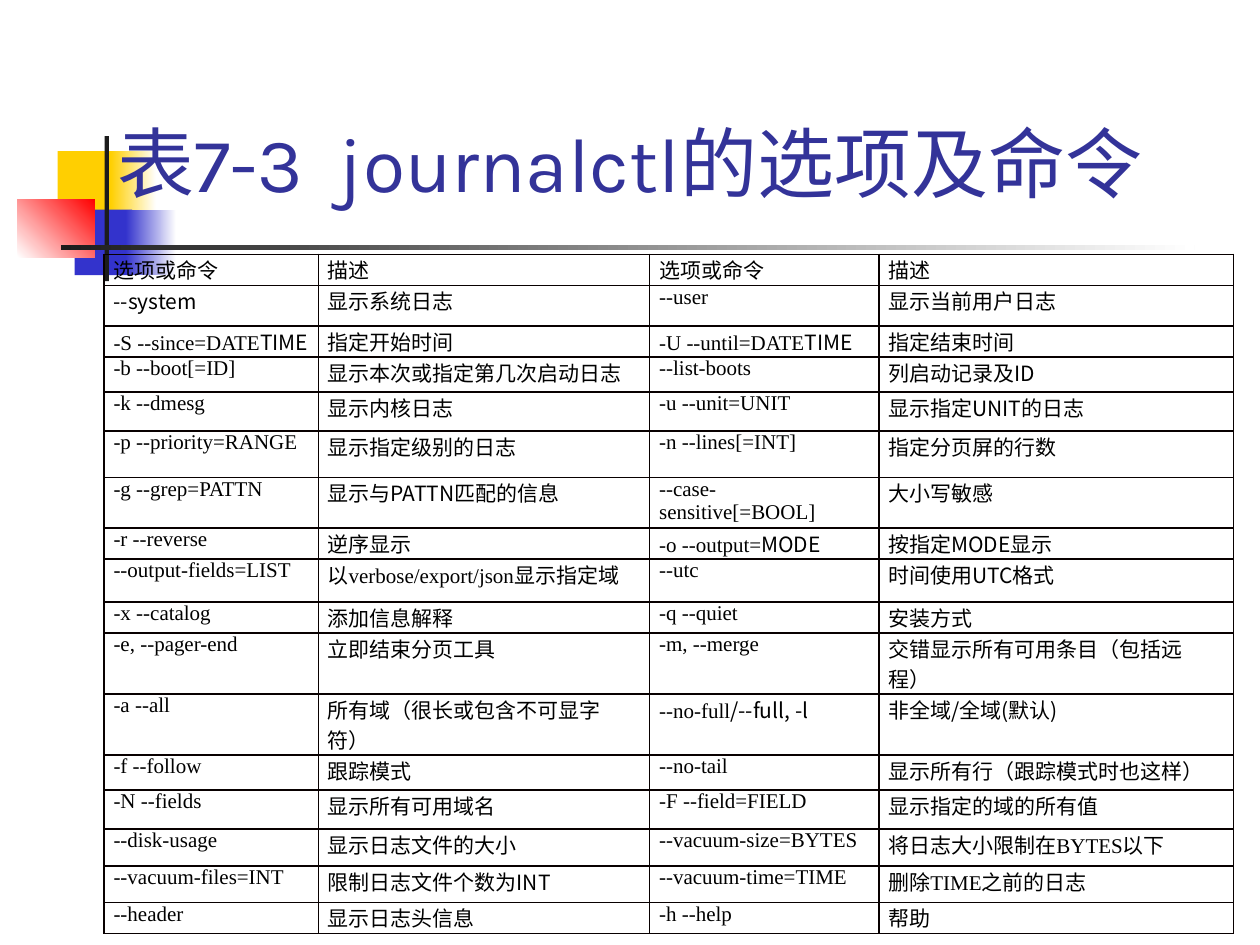
from dataclasses import dataclass

from lxml import etree
from pptx import Presentation
from pptx.dml.color import RGBColor
from pptx.enum.shapes import MSO_SHAPE
from pptx.enum.text import MSO_ANCHOR
from pptx.oxml.ns import qn
from pptx.util import Pt

RECTANGLE = MSO_SHAPE.RECTANGLE
ANCHOR_BOTTOM = MSO_ANCHOR.BOTTOM


@dataclass(frozen=True)
class Theme:
    yellow: str = "FFCF01"
    blue: str = "3333CC"
    red: str = "FF0000"
    dark: str = "1C1C1C"
    white: str = "FFFFFF"
    title: str = "333399"
    text: str = "000000"
    border: str = "080000"
    title_font: str = "Karla"
    chinese_font: str = "Noto Sans CJK SC"
    command_font: str = "Times New Roman"
    title_size: int = 44
    table_size: int = 12
    border_width: int = 1


THEME = Theme()

TITLE = "表7-3  journalctl的选项及命令"

FONT_SWITCH = "|"
COLUMN_WIDTHS = (122.4, 189.4, 131, 202.7)
ONE_LINE = 17.8
TWO_LINES = 34.9

TABLE_ROWS = (
    (ONE_LINE, "|选项或命令", "描述", "|选项或命令", "描述"),
    (23, "|--system", "显示系统日志", "--user", "显示当前用户日志"),
    (ONE_LINE, "-S --since=DATE|TIME", "指定开始时间", "-U --until=DATE|TIME", "指定结束时间"),
    (20, "-b --boot[=ID]", "显示本次或指定第几次启动日志", "--list-boots", "列启动记录及ID"),
    (22.3, "-k --dmesg", "显示内核日志", "-u --unit=UNIT", "显示指定UNIT的日志"),
    (26.6, "-p --priority=RANGE", "显示指定级别的日志", "-n --lines[=INT]", "指定分页屏的行数"),
    (28.6, "-g --grep=PATTN", "显示与PATTN匹配的信息", "--case-sensitive[=BOOL]", "大小写敏感"),
    (ONE_LINE, "-r --reverse", "逆序显示", "-o --output=|MODE", "按指定MODE显示"),
    (24.6, "--output-fields=LIST", "以|verbose/export/json|显示指定域", "--utc", "时间使用UTC格式"),
    (ONE_LINE, "-x --catalog", "添加信息解释", "-q --quiet", "安装方式"),
    (TWO_LINES, "-e, --pager-end", "立即结束分页工具", "-m, --merge", "交错显示所有可用条目（包括远程）"),
    (TWO_LINES, "-a --all", "所有域（很长或包含不可显字符）", "--no-full|/--full, -l", "非全域/全域(默认)"),
    (20, "-f --follow", "跟踪模式", "--no-tail", "显示所有行（跟踪模式时也这样）"),
    (22.3, "-N --fields", "显示所有可用域名", "-F --field=FIELD", "显示指定的域的所有值"),
    (21, "--disk-usage", "显示日志文件的大小", "--vacuum-size=BYTES", "将日志大小限制在|BYTES|以下"),
    (21, "--vacuum-files=INT", "限制日志文件个数为INT", "--vacuum-time=TIME", "删除|TIME|之前的日志"),
    (ONE_LINE, "--header", "显示日志头信息", "-h --help", "帮助"),
)


def apply_format(target, values):
    for name, value in values.items():
        setattr(target, name, value)


def add_run(paragraph, text, font_name, size, color):
    run = paragraph.add_run()
    run.text = text
    apply_format(run.font, {"name": font_name, "size": Pt(size)})
    run.font.color.rgb = RGBColor.from_string(color)
    east_asian = etree.SubElement(run.font._element, qn("a:ea"))
    east_asian.set("typeface", THEME.chinese_font)


def add_block(slide, box, colors, angle=0):
    shape = slide.shapes.add_shape(RECTANGLE, *map(Pt, box))
    shape.shadow.inherit = False
    shape.line.fill.background()
    if len(colors) == 1:
        shape.fill.solid()
        shape.fill.fore_color.rgb = RGBColor.from_string(colors[0])
        return
    shape.fill.gradient()
    shape.fill.gradient_angle = angle
    for stop, color in zip(shape.fill.gradient_stops, colors):
        stop.color.rgb = RGBColor.from_string(color)


def add_ornament(slide, box):
    left, top, width, height = box
    blocks = (
        ((23, 8.6, 34.6, 37.4), (THEME.yellow,), 0),
        ((53.3, 8.6, 26, 37.4), (THEME.yellow, THEME.white), 0),
        ((32.6, 42, 33, 37.4), (THEME.blue,), 0),
        ((62, 42, 28.8, 37.4), (THEME.blue, THEME.white), 0),
        ((0, 36, 44.2, 33.2), (THEME.white, THEME.red), 45),
        ((49.8, 0, 2.5, height), (THEME.dark,), 0),
        ((24.8, 62.4, width - 24.8, 2.5), (THEME.dark, THEME.white), 0),
    )
    for (x, y, block_width, block_height), colors, angle in blocks:
        add_block(slide, (left + x, top + y, block_width, block_height), colors, angle)


def add_title(slide, box):
    frame = slide.shapes.add_textbox(*map(Pt, box)).text_frame
    apply_format(frame, {"word_wrap": True, "vertical_anchor": ANCHOR_BOTTOM})
    add_run(frame.paragraphs[0], TITLE, THEME.title_font, THEME.title_size, THEME.title)


def add_borders(cell):
    properties = cell._tc.get_or_add_tcPr()
    for position, side in enumerate(("a:lnL", "a:lnR", "a:lnT", "a:lnB")):
        line = etree.Element(qn(side), w=str(Pt(THEME.border_width)))
        fill = etree.SubElement(line, qn("a:solidFill"))
        etree.SubElement(fill, qn("a:srgbClr"), val=THEME.border)
        properties.insert(position, line)


def fill_cell(cell, text, fonts):
    margins = {"margin_left": Pt(5.4), "margin_right": Pt(5.4), "margin_top": 0, "margin_bottom": 0}
    apply_format(cell, margins)
    cell.fill.background()
    add_borders(cell)
    for index, part in enumerate(text.split(FONT_SWITCH)):
        if part:
            add_run(cell.text_frame.paragraphs[0], part, fonts[index % 2],
                    THEME.table_size, THEME.text)


def add_options_table(slide, box):
    frame = slide.shapes.add_table(len(TABLE_ROWS), len(COLUMN_WIDTHS), *map(Pt, box))
    table = frame.table
    apply_format(table, {"first_row": False, "horz_banding": False})
    for column, width in zip(table.columns, COLUMN_WIDTHS):
        column.width = Pt(width)
    command_fonts = (THEME.command_font, THEME.chinese_font)
    column_fonts = (command_fonts, command_fonts[::-1]) * 2
    for row, (height, *texts) in zip(table.rows, TABLE_ROWS):
        row.height = Pt(height)
        for cell, text, fonts in zip(row.cells, texts, column_fonts):
            fill_cell(cell, text, fonts)


def main():
    presentation = Presentation()
    apply_format(presentation, {"slide_width": Pt(720), "slide_height": Pt(540)})
    slide = presentation.slides.add_slide(presentation.slide_layouts[6])
    add_ornament(slide, (10, 77.8, 672.6, 82.8))
    add_title(slide, (59.8, 31.7, 642.2, 90.7))
    add_options_table(slide, (59.5, 145.4, sum(COLUMN_WIDTHS), sum(row[0] for row in TABLE_ROWS)))
    presentation.save("out.pptx")


if __name__ == "__main__":
    main()
